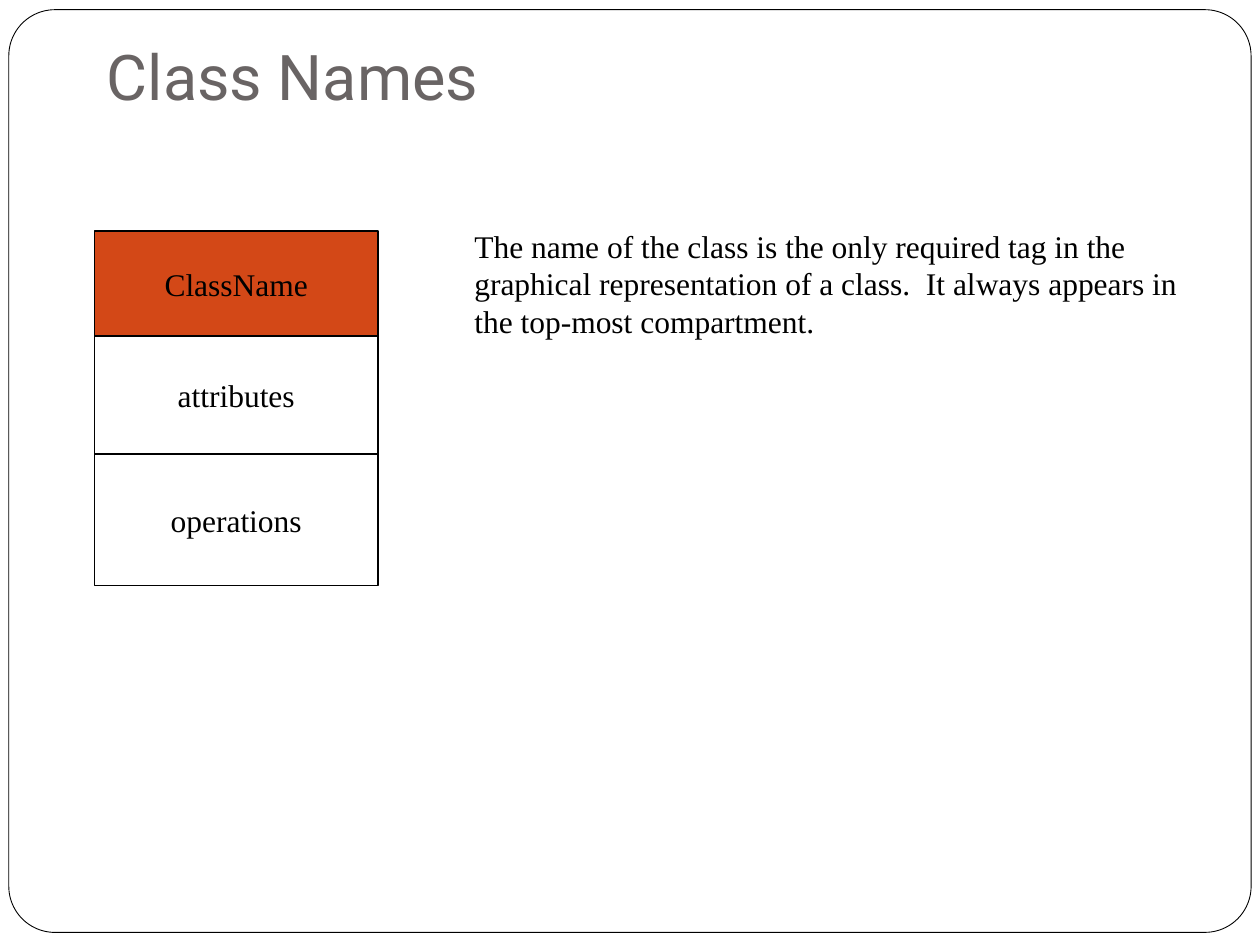
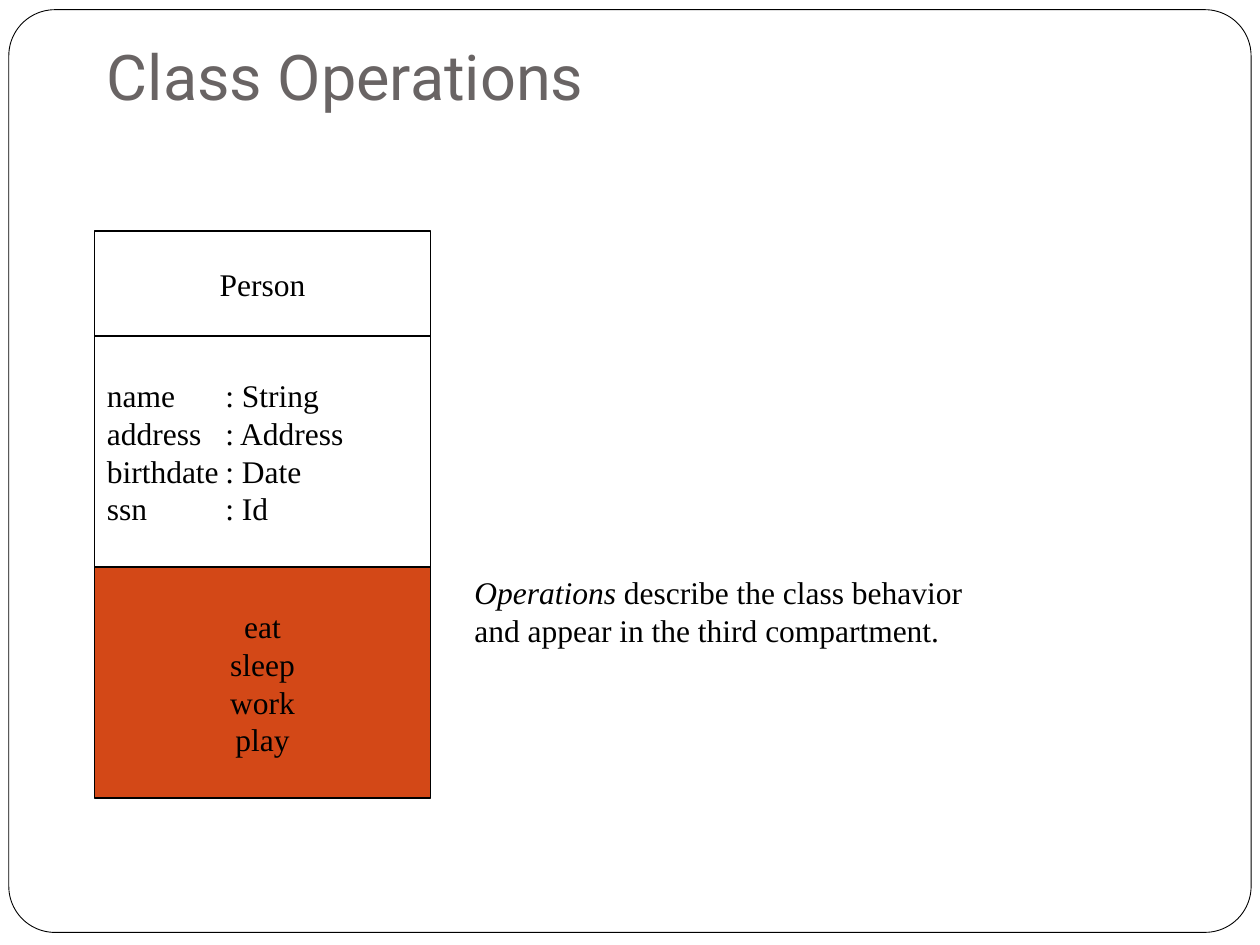
from pptx import Presentation
from pptx.dml.color import RGBColor
from pptx.enum.shapes import MSO_SHAPE
from pptx.enum.text import MSO_ANCHOR, PP_ALIGN
from pptx.oxml.ns import qn
from pptx.util import Inches, Pt
from lxml.etree import SubElement

COLS, ROWS = 120, 90
CELL = Inches(10) / COLS
BLACK, WHITE, ACCENT, GREY = "000000", "FFFFFF", "D34817", "696464"
BODY, HEADING = "Times New Roman", "Roboto"
LEFT, CLASS_TOP, NOTE_LEFT = 9, 22, 44
TYPE_TAB = 0.94


def rgb(value):
    """Turn a hex string into a colour."""
    return RGBColor.from_string(value)


def grid(*cells):
    """Turn grid cells into slide lengths."""
    return [round(c * CELL) for c in cells]


def write(tf, lines, align=PP_ALIGN.LEFT, font=BODY, size=18, color=BLACK):
    """Fill a frame with lines, each a list of (text, italic) runs."""
    tf.word_wrap = True
    for i, line in enumerate(lines):
        p = tf.paragraphs[0] if i == 0 else tf.add_paragraph()
        p.alignment = align
        if any("\t" in text for text, _ in line):
            tabs = SubElement(p._p.get_or_add_pPr(), qn("a:tabLst"))
            SubElement(tabs, qn("a:tab"), pos=str(Inches(TYPE_TAB)), algn="l")
        for text, italic in line:
            r = p.add_run()
            r.text = text
            r.font.name, r.font.size = font, Pt(size)
            r.font.italic = italic
            r.font.color.rgb = rgb(color)


def plain(*texts):
    """Make upright lines of one run each."""
    return [[(text, False)] for text in texts]


def add_box(s, kind, cells, fill, weight):
    """Add a filled shape with a black outline."""
    sp = s.shapes.add_shape(kind, *grid(*cells))
    sp.shadow.inherit = False
    sp.fill.solid()
    sp.fill.fore_color.rgb = rgb(fill)
    sp.line.color.rgb = rgb(BLACK)
    sp.line.width = Pt(weight)
    return sp


def add_class_slide(prs, title):
    """Add a slide with the rounded frame and its title."""
    s = prs.slides.add_slide(prs.slide_layouts[6])
    frame = add_box(s, MSO_SHAPE.ROUNDED_RECTANGLE,
                    (0.84, 0.92, COLS - 1.68, ROWS - 2.12), WHITE, 0.5)
    frame.adjustments[0] = 0.05
    tf = s.shapes.add_textbox(*grid(LEFT, 5, 103, 7)).text_frame
    tf.vertical_anchor = MSO_ANCHOR.BOTTOM
    tf.margin_bottom = Inches(0.1)
    write(tf, plain(title), font=HEADING, size=36, color=GREY)
    return s


def add_class_diagram(s, width, compartments):
    """Stack compartments given as (height, fill, alignment, lines)."""
    top = CLASS_TOP
    for height, fill, align, lines in compartments:
        sp = add_box(s, MSO_SHAPE.RECTANGLE, (LEFT, top, width, height), fill, 0.75)
        sp.text_frame.vertical_anchor = MSO_ANCHOR.MIDDLE
        write(sp.text_frame, plain(*lines), align)
        top += height


def add_note(s, top, width, height, lines):
    """Add the explanation beside the diagram."""
    sp = s.shapes.add_textbox(*grid(NOTE_LEFT, top, width, height))
    write(sp.text_frame, lines)


def main():
    """Build both slides and save them."""
    prs = Presentation()
    prs.slide_width, prs.slide_height = grid(COLS, ROWS)
    center, left = PP_ALIGN.CENTER, PP_ALIGN.LEFT

    s = add_class_slide(prs, "Class Names")
    add_class_diagram(s, 27, [
        (10, ACCENT, center, ["ClassName"]),
        (11.25, WHITE, center, ["attributes"]),
        (12.5, WHITE, center, ["operations"]),
    ])
    add_note(s, 21, 72, 20.4, plain(
        "The name of the class is the only required tag in the graphical "
        "representation of a class.  It always appears in the top-most compartment."))

    s = add_class_slide(prs, "Class Operations")
    add_class_diagram(s, 32, [
        (10, WHITE, center, ["Person"]),
        (22, WHITE, left, ["name\t: String", "address\t: Address",
                           "birthdate\t: Date", "ssn\t: Id"]),
        (22, ACCENT, center, ["eat", "sleep", "work", "play"]),
    ])
    add_note(s, 54, 65.4, 10.8, [
        [("Operations ", True), ("describe the class behavior", False)],
        *plain("and appear in the third compartment."),
    ])
    prs.save("out.pptx")


if __name__ == "__main__":
    main()
